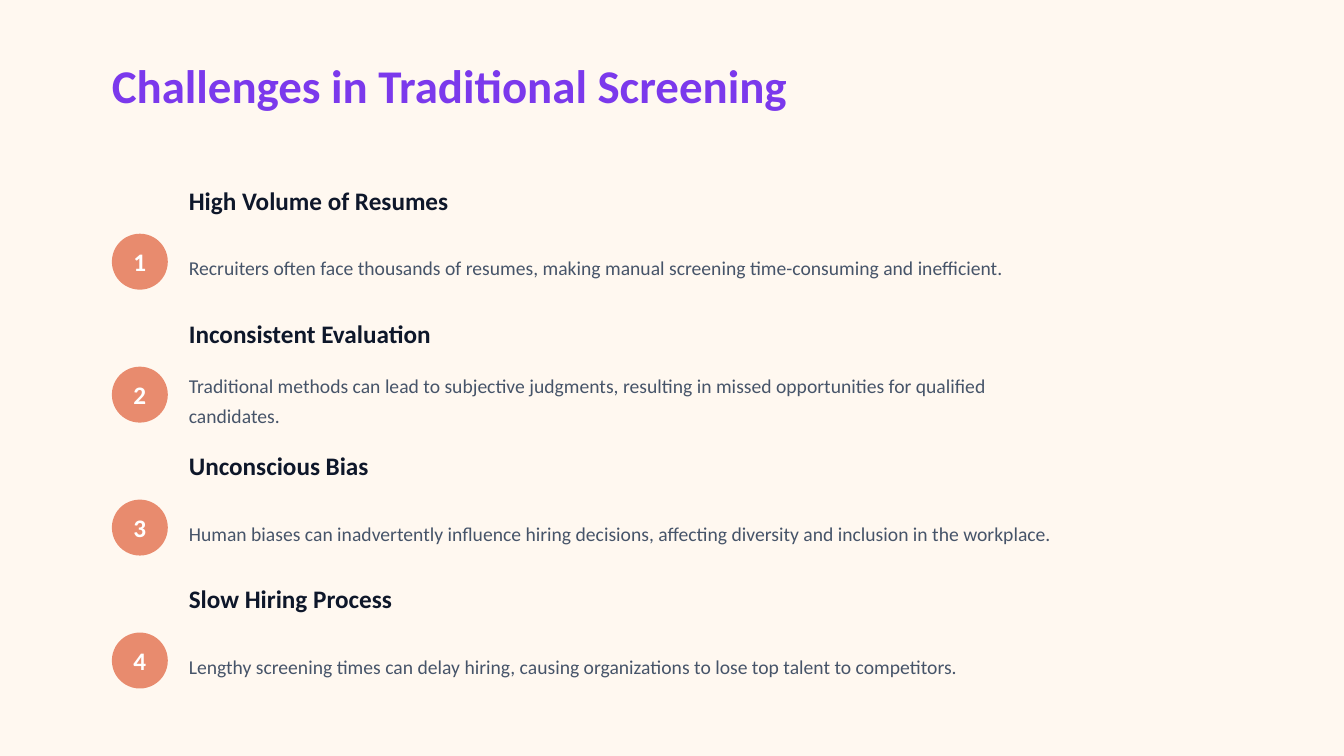
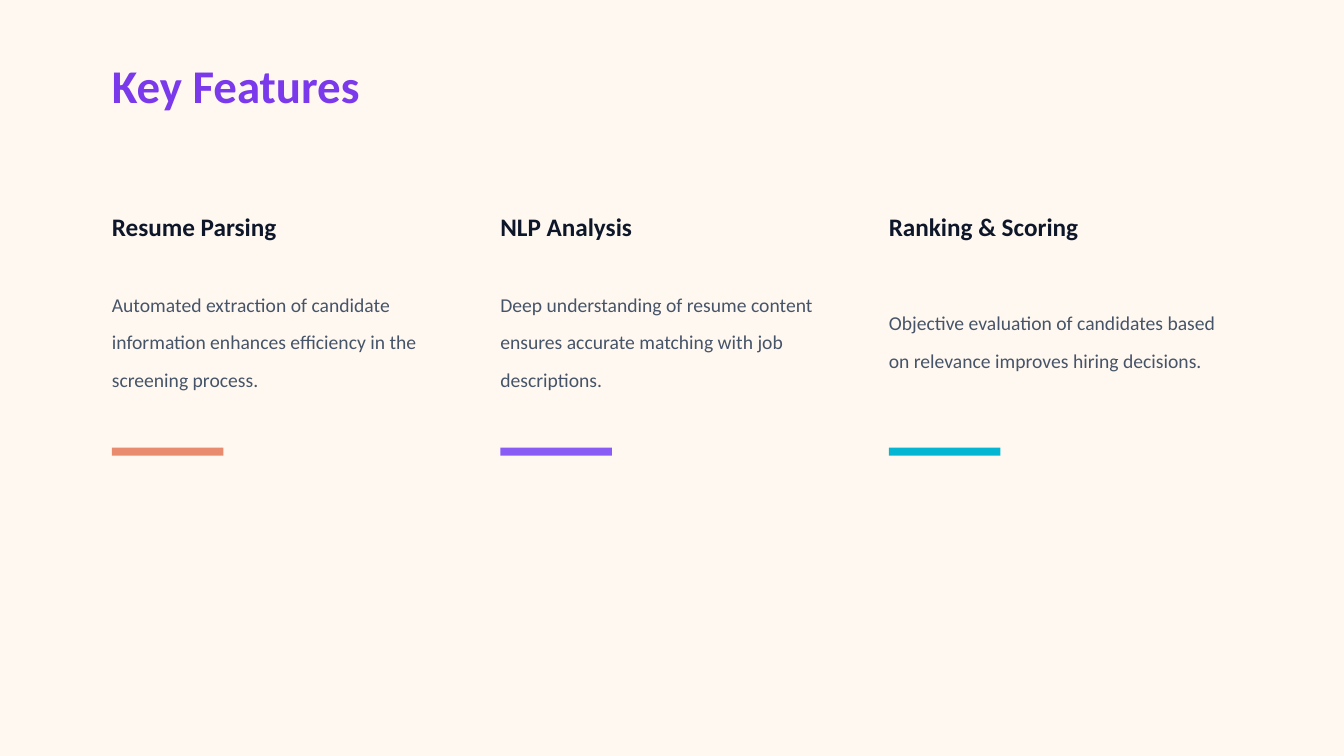
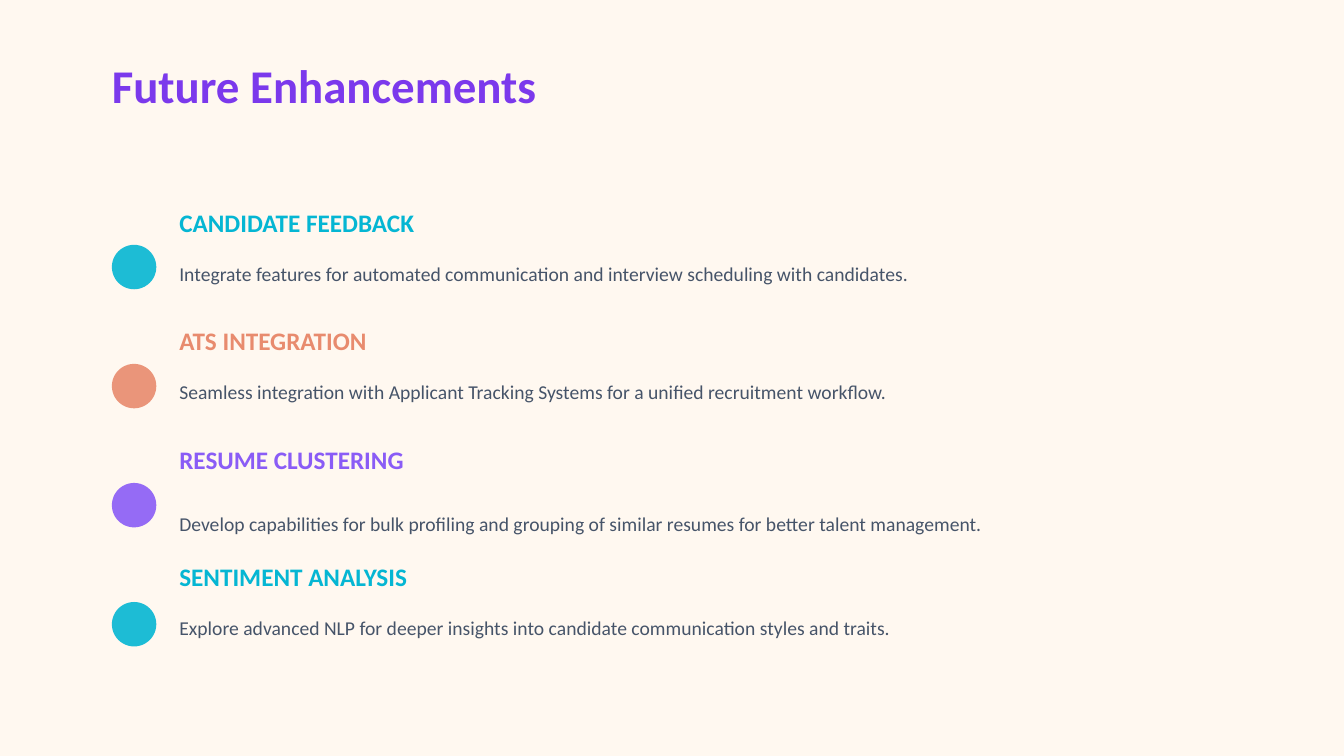
from lxml import etree
from pptx import Presentation
from pptx.dml.color import RGBColor
from pptx.enum.shapes import MSO_SHAPE
from pptx.enum.text import MSO_ANCHOR, PP_ALIGN
from pptx.oxml.ns import qn
from pptx.util import Cm, Pt

OVAL, RECTANGLE = MSO_SHAPE.OVAL, MSO_SHAPE.RECTANGLE
TOP, MIDDLE = MSO_ANCHOR.TOP, MSO_ANCHOR.MIDDLE
CENTER = PP_ALIGN.CENTER

COLORS = {
    "background": "FFF8F0",
    "title": "7B39EC",
    "heading": "0E172A",
    "body": "465469",
    "coral": "E88B6E",
    "violet": "8A5CF6",
    "cyan": "05B6D3",
    "white": "FFFFFF",
}
FONT = "Calibri"
TITLE_SIZE, HEADING_SIZE, BODY_SIZE = 33.5, 18, 14
MARGIN = 2.82

CHALLENGES = [
    ("High Volume of Resumes",
     "Recruiters often face thousands of resumes, making manual screening "
     "time-consuming and inefficient."),
    ("Inconsistent Evaluation",
     "Traditional methods can lead to subjective judgments, resulting in "
     "missed opportunities for qualified candidates."),
    ("Unconscious Bias",
     "Human biases can inadvertently influence hiring decisions, affecting "
     "diversity and inclusion in the workplace."),
    ("Slow Hiring Process",
     "Lengthy screening times can delay hiring, causing organizations to "
     "lose top talent to competitors."),
]
FEATURES = [
    ("Resume Parsing", "coral",
     "Automated extraction of candidate information enhances efficiency in "
     "the screening process."),
    ("NLP Analysis", "violet",
     "Deep understanding of resume content ensures accurate matching with "
     "job descriptions."),
    ("Ranking & Scoring", "cyan",
     "Objective evaluation of candidates based on relevance improves hiring "
     "decisions."),
]
# Heading, colour, points before the heading, points before the body, body
ENHANCEMENTS = [
    ("CANDIDATE FEEDBACK", "cyan", 0, 17.2,
     "Integrate features for automated communication and interview "
     "scheduling with candidates."),
    ("ATS INTEGRATION", "coral", 29, 17.2,
     "Seamless integration with Applicant Tracking Systems for a unified "
     "recruitment workflow."),
    ("RESUME CLUSTERING", "violet", 29, 27,
     "Develop capabilities for bulk profiling and grouping of similar "
     "resumes for better talent management."),
    ("SENTIMENT ANALYSIS", "cyan", 18.5, 17.2,
     "Explore advanced NLP for deeper insights into candidate communication "
     "styles and traits."),
]


def rgb(name):
    return RGBColor.from_string(COLORS[name])


def style(paragraph, text, size, color, bold=False):
    paragraph.text = text
    font = paragraph.font
    font.name, font.size, font.bold = FONT, Pt(size), bold
    font.color.rgb = rgb(color)


def clear_margins(frame):
    frame.margin_left = frame.margin_right = 0
    frame.margin_top = frame.margin_bottom = 0


def add_frame(slide, left, top, width, height, anchor=TOP):
    box = slide.shapes.add_textbox(Cm(left), Cm(top), Cm(width), Cm(height))
    frame = box.text_frame
    frame.word_wrap = True
    frame.vertical_anchor = anchor
    clear_margins(frame)
    return frame


def add_heading(slide, text, left, top, width):
    frame = add_frame(slide, left, top, width, 0.8)
    style(frame.paragraphs[0], text, HEADING_SIZE, "heading", bold=True)


def add_body(slide, text, left, top, width, height, line_spacing):
    frame = add_frame(slide, left, top, width, height, MIDDLE)
    style(frame.paragraphs[0], text, BODY_SIZE, "body")
    frame.paragraphs[0].line_spacing = line_spacing


def add_filled(slide, kind, left, top, width, height, color, opacity=100):
    shape = slide.shapes.add_shape(kind, Cm(left), Cm(top), Cm(width), Cm(height))
    shape.shadow.inherit = False
    shape.fill.solid()
    shape.fill.fore_color.rgb = rgb(color)
    shape.line.fill.background()
    if opacity < 100:
        fill_color = shape.fill._xPr.find(".//" + qn("a:srgbClr"))
        etree.SubElement(fill_color, qn("a:alpha"), val=str(opacity * 1000))
    return shape


def add_badge(slide, number, left, top, size):
    badge = add_filled(slide, OVAL, left, top, size, size, "coral")
    frame = badge.text_frame
    clear_margins(frame)
    frame.vertical_anchor = MIDDLE
    style(frame.paragraphs[0], str(number), HEADING_SIZE, "white", bold=True)
    frame.paragraphs[0].alignment = CENTER


def new_slide(prs, title):
    slide = prs.slides.add_slide(prs.slide_layouts[6])
    frame = add_frame(slide, MARGIN, 1.42, 25, 1.5)
    style(frame.paragraphs[0], title, TITLE_SIZE, "title", bold=True)
    return slide


def build_challenges(prs):
    slide = new_slide(prs, "Challenges in Traditional Screening")
    text_left, text_width, row_pitch = 4.76, 22.1, 3.35
    for row, (heading, body) in enumerate(CHALLENGES):
        row_top = 4.66 + row * row_pitch
        add_badge(slide, row + 1, MARGIN, row_top + 1.23, 1.41)
        add_heading(slide, heading, text_left, row_top, text_width)
        add_body(slide, body, text_left, row_top + 1.15, text_width, 1.7, 1.3)


def build_features(prs):
    slide = new_slide(prs, "Key Features")
    column_width, column_pitch = 8.5, 9.79
    for column, (heading, accent, body) in enumerate(FEATURES):
        left = MARGIN + column * column_pitch
        add_heading(slide, heading, left, 5.32, column_width)
        add_body(slide, body, left, 6.74, column_width, 3.4, 1.61)
        add_filled(slide, RECTANGLE, left, 11.28, 2.81, 0.2, accent)


def build_enhancements(prs):
    slide = new_slide(prs, "Future Enhancements")
    row_pitch = 3
    for row, (_, accent, *_) in enumerate(ENHANCEMENTS):
        add_filled(slide, OVAL, MARGIN, 6.17 + row * row_pitch, 1.12, 1.12,
                   accent, opacity=90)

    # All entries flow in one text box
    frame = add_frame(slide, 4.52, 5.22, 21, 11.1)
    for row, (heading, accent, heading_gap, body_gap, body) in enumerate(ENHANCEMENTS):
        heading_line = frame.add_paragraph() if row else frame.paragraphs[0]
        style(heading_line, heading, HEADING_SIZE, accent, bold=True)
        if heading_gap:
            heading_line.space_before = Pt(heading_gap)
        body_line = frame.add_paragraph()
        style(body_line, body, BODY_SIZE, "body")
        body_line.space_before = Pt(body_gap)


def main():
    prs = Presentation()
    prs.slide_width, prs.slide_height = Cm(33.87), Cm(19.05)

    # Shared background
    background = prs.slide_master.background.fill
    background.solid()
    background.fore_color.rgb = rgb("background")

    build_challenges(prs)
    build_features(prs)
    build_enhancements(prs)
    prs.save("out.pptx")


if __name__ == "__main__":
    main()
